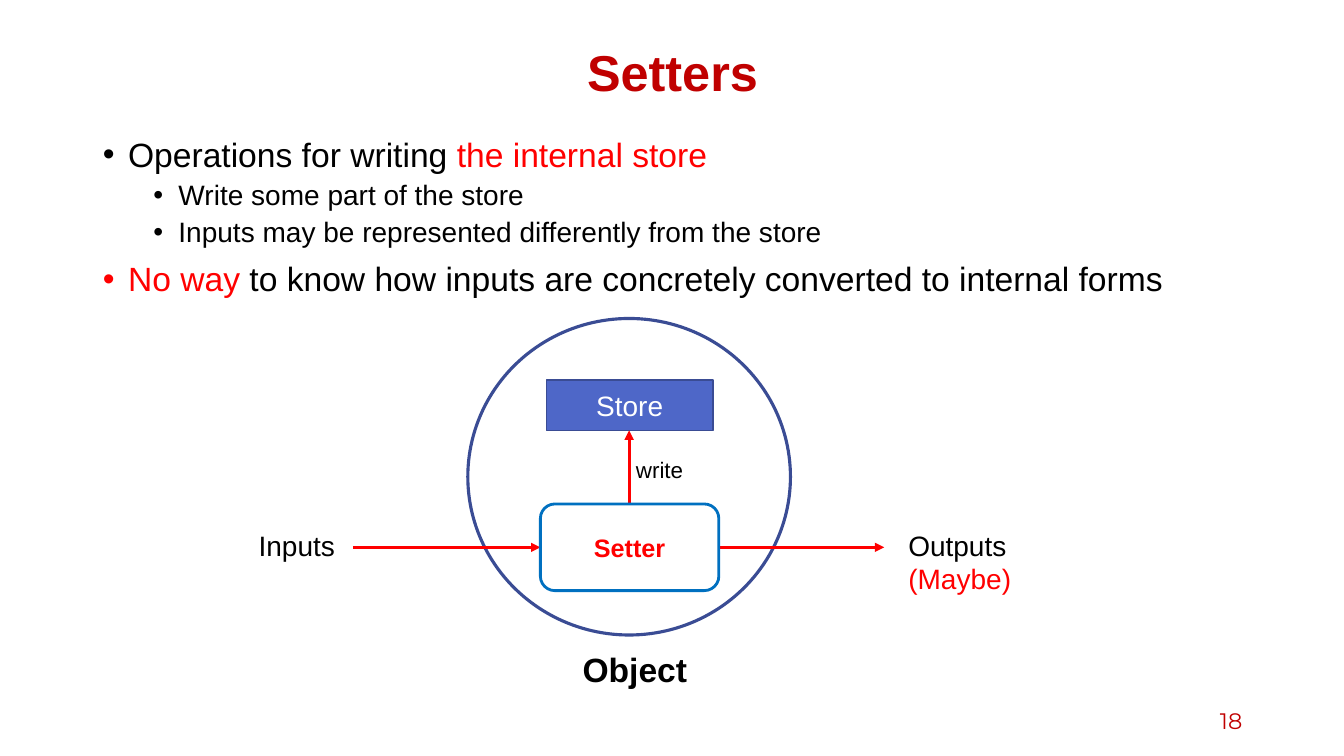
from lxml.etree import SubElement
from pptx import Presentation
from pptx.dml.color import RGBColor
from pptx.enum.shapes import MSO_CONNECTOR, MSO_SHAPE
from pptx.enum.text import MSO_ANCHOR, MSO_AUTO_SIZE, PP_ALIGN
from pptx.oxml.ns import qn
from pptx.util import Inches, Pt

COLORS = {
    "black": "000000",
    "white": "FFFFFF",
    "red": "FF0000",
    "crimson": "C00000",
    "blue": "4E67C8",
    "navy": "3A4C94",
    "azure": "0070C0",
}


def color(name):
    return RGBColor.from_string(COLORS[name])


class SlideBuilder:
    font = "Arial"

    def __init__(self, page):
        self.page = page

    def place(self, shape, at):
        shape.left, shape.top, shape.width, shape.height = map(Inches, at)

    def add_text(self, box, lines, size, bold=False, align=PP_ALIGN.LEFT,
                 anchor=MSO_ANCHOR.TOP, font=None):
        frame = box.text_frame
        frame.word_wrap = True
        frame.auto_size = MSO_AUTO_SIZE.NONE
        frame.vertical_anchor = anchor
        for index, spans in enumerate(lines):
            para = frame.paragraphs[0] if index == 0 else frame.add_paragraph()
            para.alignment = align
            self.add_spans(para, spans, size, bold, font)

    def add_spans(self, para, spans, size, bold=False, font=None):
        for text, tint in spans:
            span = para.add_run()
            span.text = text
            span.font.name = font or self.font
            span.font.size = Pt(size)
            span.font.bold = bold
            span.font.color.rgb = color(tint)

    def title(self, at, text):
        box = self.page.shapes.title
        self.place(box, at)
        self.add_text(box, [[(text, "crimson")]], 36, True, PP_ALIGN.CENTER, MSO_ANCHOR.MIDDLE)
        box.text_frame.paragraphs[0].line_spacing = 0.9

    def bullets(self, at, items):
        box = self.page.placeholders[1]
        self.place(box, at)
        frame = box.text_frame
        frame.auto_size = MSO_AUTO_SIZE.NONE
        for index, (level, spans) in enumerate(items):
            para = frame.paragraphs[0] if index == 0 else frame.add_paragraph()
            para.level = level
            para.line_spacing = 0.9
            para.space_before = Pt(10 - 5 * level)
            self.add_spans(para, spans, 24 - 4 * level)
            properties = para._p.get_or_add_pPr()
            properties.set("marL", str(Inches(0.25 + 0.5 * level)))
            properties.set("indent", str(Inches(-0.25)))
            SubElement(properties, qn("a:buFont"), typeface=self.font)
            SubElement(properties, qn("a:buChar"), char="•")

    def label(self, at, lines, size, **style):
        box = self.page.shapes.add_textbox(*map(Inches, at))
        self.add_text(box, lines, size, **style)

    def shape(self, kind, at, line, weight, fill=None):
        shape = self.page.shapes.add_shape(kind, *map(Inches, at))
        shape.shadow.inherit = False
        shape.line.color.rgb = color(line)
        shape.line.width = Pt(weight)
        if fill:
            shape.fill.solid()
            shape.fill.fore_color.rgb = color(fill)
        else:
            shape.fill.background()
        return shape

    def arrow(self, start, end):
        arrow = self.page.shapes.add_connector(
            MSO_CONNECTOR.STRAIGHT, *map(Inches, start + end))
        arrow.line.color.rgb = color("red")
        arrow.line.width = Pt(2.25)
        properties = arrow._element.spPr
        SubElement(properties.find(qn("a:ln")), qn("a:tailEnd"), type="triangle")
        SubElement(properties, qn("a:effectLst"))


def main():
    deck = Presentation()
    deck.slide_width, deck.slide_height = Inches(13.33), Inches(7.5)
    slide = SlideBuilder(deck.slides.add_slide(deck.slide_layouts[1]))

    slide.title((0.92, 0.4, 11.5, 0.7), "Setters")
    slide.bullets((0.92, 1.32, 11.5, 5.51), [
        (0, [("Operations for writing ", "black"), ("the internal store", "red")]),
        (1, [("Write some part of the store", "black")]),
        (1, [("Inputs may be represented differently from the store", "black")]),
        (0, [("No way ", "red"),
             ("to know how inputs are concretely converted to internal forms", "black")]),
    ])
    slide.label((9.42, 6.95, 3, 0.4), [[("18", "crimson")]], 16,
                align=PP_ALIGN.RIGHT, anchor=MSO_ANCHOR.MIDDLE, font="Montserrat")

    centered = {"align": PP_ALIGN.CENTER, "anchor": MSO_ANCHOR.MIDDLE}
    store = slide.shape(MSO_SHAPE.RECTANGLE, (5.42, 3.77, 1.65, 0.5), "navy", 1, "blue")
    slide.add_text(store, [[("Store", "white")]], 20, **centered)
    slide.shape(MSO_SHAPE.OVAL, (4.64, 3.16, 3.2, 3.14), "navy", 2.25)

    slide.arrow((3.5, 5.43), (5.36, 5.43))
    slide.arrow((7.13, 5.43), (8.77, 5.43))
    slide.arrow((6.24, 5), (6.24, 4.27))

    slide.label((5.68, 6.39, 1.3, 0.5), [[("Object", "black")]], 24, bold=True)
    setter = slide.shape(MSO_SHAPE.ROUNDED_RECTANGLE, (5.36, 5, 1.77, 0.86), "azure", 2)
    slide.add_text(setter, [[("Setter", "red")]], 18, True, **centered)

    slide.label((2.31, 5.19, 1.27, 0.44), [[("Inputs", "black")]], 20, align=PP_ALIGN.CENTER)
    slide.label((8.91, 5.19, 1.32, 0.77), [[("Outputs", "black")], [("(Maybe)", "red")]], 20)
    slide.label((6.21, 4.48, 1.63, 0.37), [[("write", "black")]], 16)

    deck.save("out.pptx")


if __name__ == "__main__":
    main()
